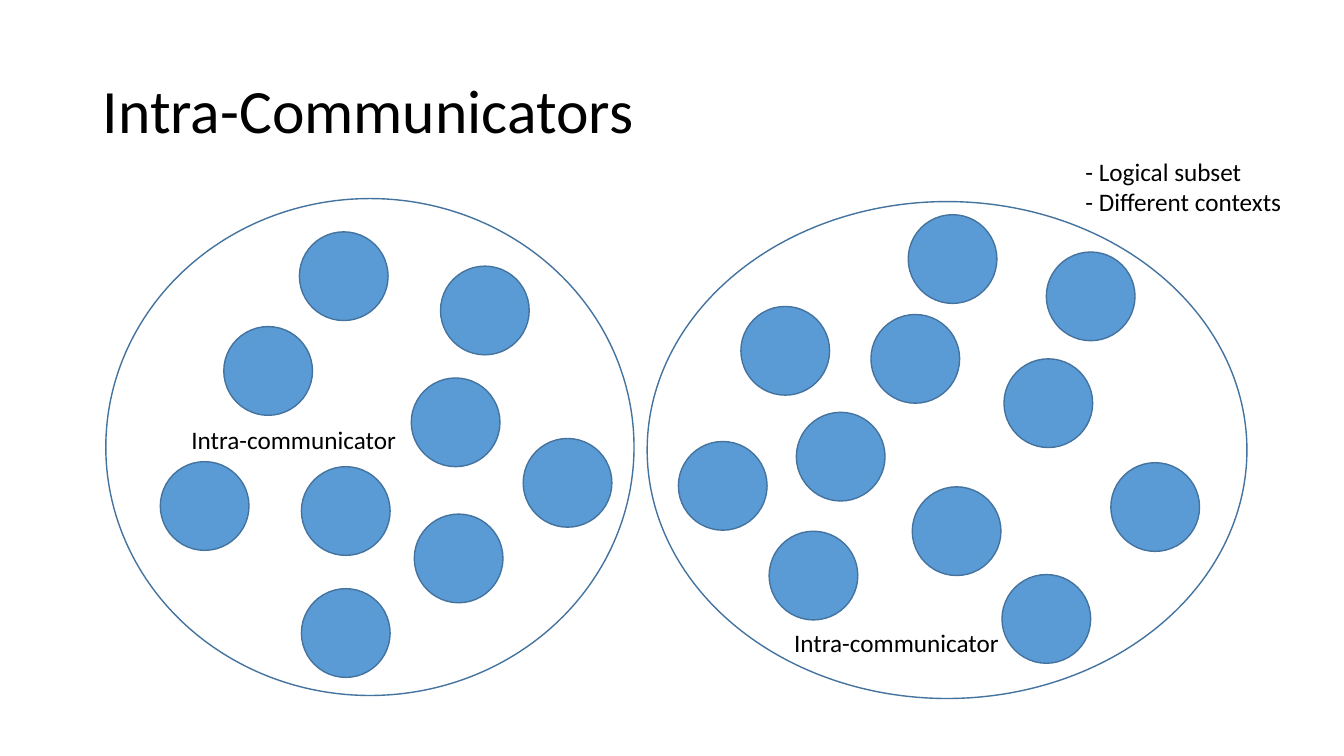
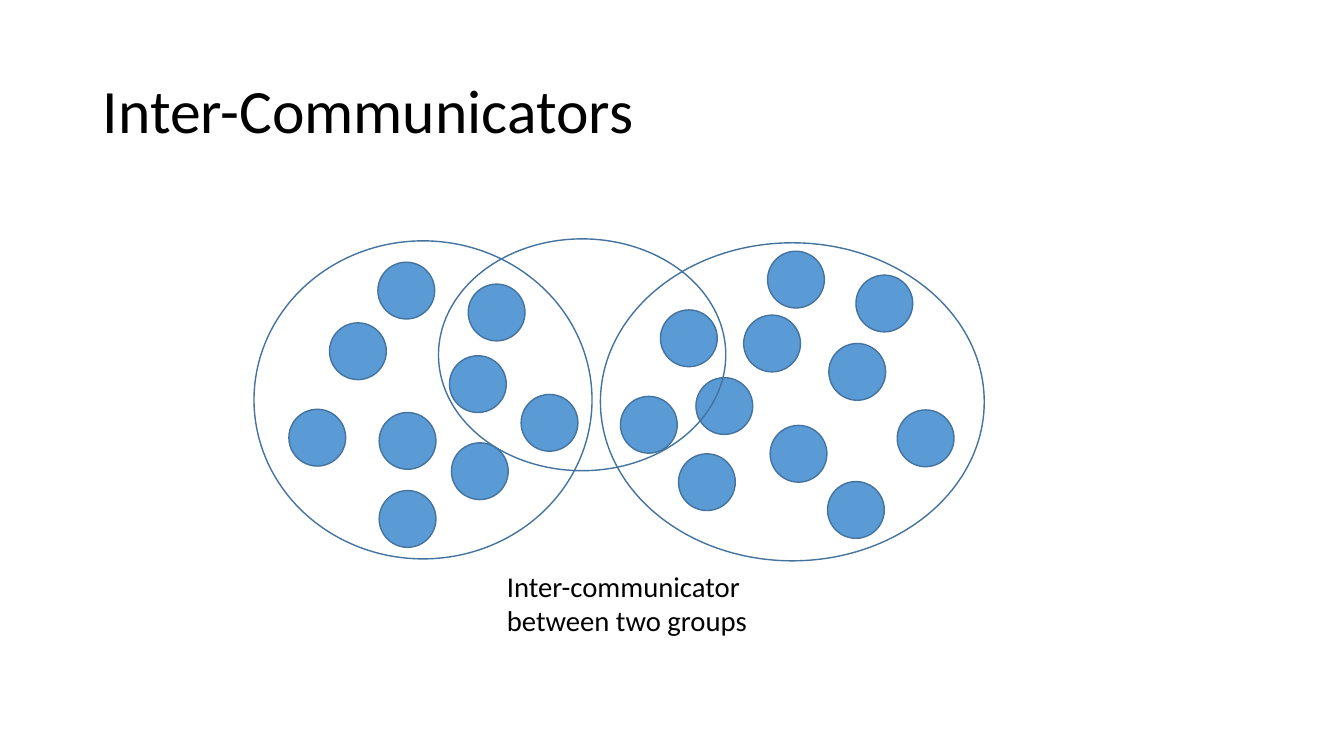
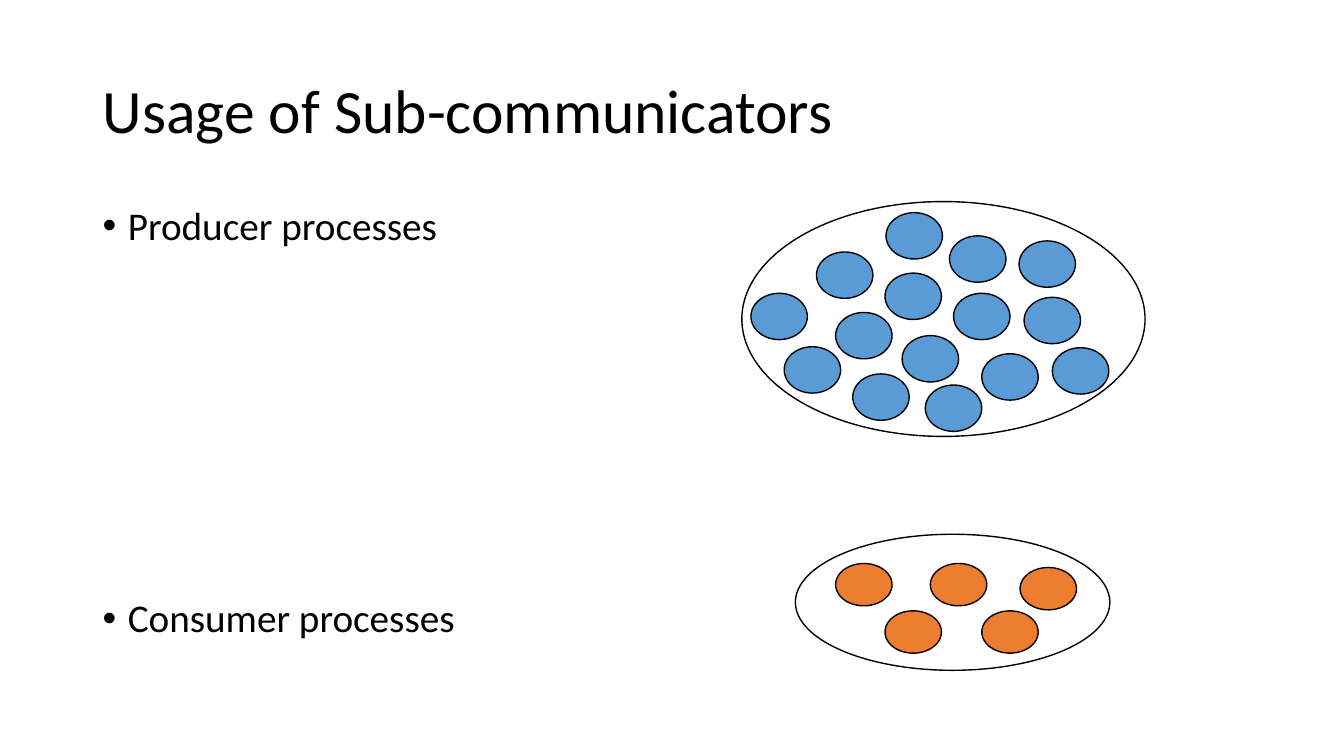
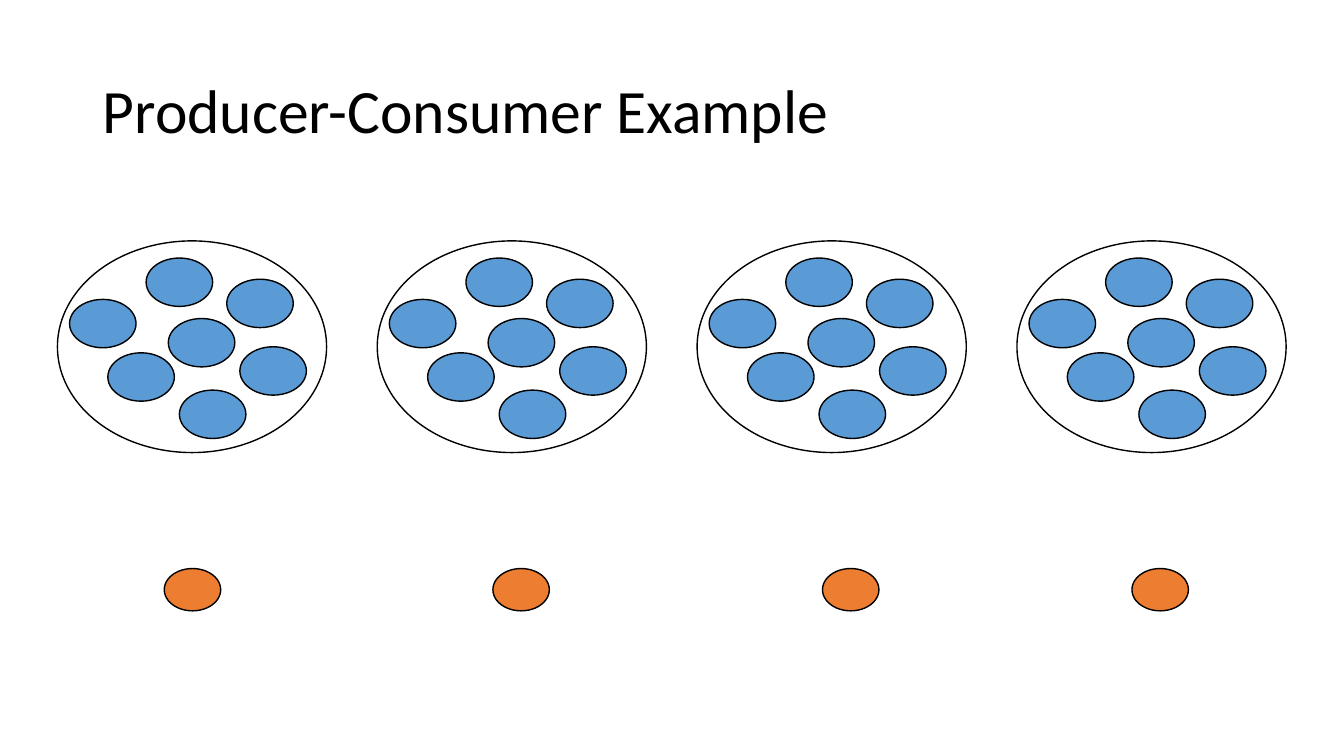
from dataclasses import dataclass
from typing import Any, Optional

from lxml import etree
from pptx import Presentation
from pptx import util as u
from pptx.dml.color import RGBColor
from pptx.enum import shapes, text
from pptx.oxml import ns

CELL = u.Inches(0.1)
COLUMNS, ROWS = 133.33, 75
FONT = "Calibri"
BLACK, WHITE = "000000", "FFFFFF"
BLUE, NAVY, ORANGE = "5B9BD5", "43739E", "ED7D31"


@dataclass(frozen=True)
class Area:
    left: float
    top: float
    width: float
    height: float


@dataclass(frozen=True)
class Placement:
    left: float = 0
    top: float = 0
    scale: float = 1


@dataclass(frozen=True)
class Cluster:
    outline: Area
    dot_width: float
    dot_height: float
    dots: tuple[tuple[float, float], ...]
    dot_fill: str = BLUE
    line: str = BLACK


@dataclass(frozen=True)
class Label:
    area: Area
    lines: tuple[str, ...]
    size: float = 18
    wrap: bool = False


HOME = Placement()
TITLE_AREA = Area(9.2, 4, 115, 14.5)

LEFT_GROUP = Cluster(
    Area(10.5, 19.7, 52.4, 49.3), 8.8, 8.8,
    ((22.2, 32.4), (40.8, 37.5), (29.9, 46.3), (29.7, 23), (51.9, 43.5),
     (43.7, 26.4), (41.1, 51), (29.9, 58.4), (15.9, 45.8)),
    line=NAVY,
)
RIGHT_GROUP = Cluster(
    Area(64.2, 20, 59.5, 49.3), 8.8, 8.8,
    ((76.3, 52.7), (73.5, 30.4), (79, 40.9), (90.5, 48.3), (86.4, 31.2),
     (90.1, 21.3), (103.8, 25), (99.6, 35.6), (110.2, 45.9), (99.4, 57),
     (67.3, 43.8)),
    line=NAVY,
)
PRODUCERS = Cluster(
    Area(73.6, 20, 40, 23.3), 5.6, 4.6,
    ((74.5, 29.1), (81, 25), (82.9, 31), (89.5, 33.3), (87.8, 27.1),
     (87.9, 21.1), (94.2, 23.4), (94.6, 29.1), (101.6, 29.5), (101.1, 23.9),
     (77.8, 34.4), (97.4, 35.1), (84.6, 37.1), (91.8, 38.2), (104.4, 34.5)),
)
CONSUMERS = Cluster(
    Area(78.9, 53, 31.2, 13.5), 5.6, 4.2,
    ((82.9, 55.9), (92.3, 55.9), (101.2, 56.3), (87.8, 60.6), (97.4, 60.6)),
    dot_fill=ORANGE,
)
WORKERS = Cluster(
    Area(5.7, 23.9, 26.7, 21), 6.6, 4.8,
    ((6.9, 29.7), (14.5, 25.6), (16.7, 31.6), (22.5, 27.7), (10.7, 35),
     (17.8, 38.7), (23.8, 34.4)),
)
WORKER_PITCH = 31.73
SINGLE_CONSUMERS = (16.3, 48.9, 81.6, 112.3)


def colour(value: str) -> RGBColor:
    return RGBColor.from_string(value)


def apply(target: Any, formats: dict[str, Any]) -> None:
    for name, value in formats.items():
        setattr(target, name, value)


def bounds(area: Area, place: Placement = HOME) -> tuple[int, int, int, int]:
    cells = (
        place.left + area.left * place.scale,
        place.top + area.top * place.scale,
        area.width * place.scale,
        area.height * place.scale,
    )
    left, top, width, height = (round(cell * CELL) for cell in cells)
    return left, top, width, height


def add_span(para: Any, words: str, size: float) -> None:
    span = para.add_run()
    span.text = words
    apply(span.font, {"name": FONT, "size": u.Pt(size)})
    span.font.color.rgb = colour(BLACK)


def add_page(deck: Any, title: str) -> Any:
    page = deck.slides.add_slide(deck.slide_layouts[5])
    box = page.shapes.title
    apply(box, dict(zip(("left", "top", "width", "height"), bounds(TITLE_AREA))))
    apply(box.text_frame, {
        "auto_size": text.MSO_AUTO_SIZE.NONE,
        "vertical_anchor": text.MSO_ANCHOR.MIDDLE,
    })
    para = box.text_frame.paragraphs[0]
    apply(para, {"alignment": text.PP_ALIGN.LEFT, "line_spacing": 0.9})
    add_span(para, title, 44)
    return page


def add_oval(holder: Any, area: Area, fill: Optional[str], line: str,
             place: Placement = HOME) -> None:
    oval = holder.add_shape(shapes.MSO_SHAPE.OVAL, *bounds(area, place))
    oval.shadow.inherit = False
    if fill:
        oval.fill.solid()
        oval.fill.fore_color.rgb = colour(fill)
    else:
        oval.fill.background()
    oval.line.color.rgb = colour(line)
    oval.line.width = u.Pt(1)


def add_cluster(page: Any, cluster: Cluster, place: Placement = HOME) -> None:
    holder = page.shapes.add_group_shape().shapes
    add_oval(holder, cluster.outline, WHITE, cluster.line, place)
    for left, top in cluster.dots:
        dot = Area(left, top, cluster.dot_width, cluster.dot_height)
        add_oval(holder, dot, cluster.dot_fill, cluster.line, place)


def add_paragraphs(frame: Any, lines: tuple[str, ...], size: float) -> list[Any]:
    for _ in lines[1:]:
        frame.add_paragraph()
    for para, words in zip(frame.paragraphs, lines):
        add_span(para, words, size)
    return list(frame.paragraphs)


def add_label(page: Any, label: Label) -> None:
    frame = page.shapes.add_textbox(*bounds(label.area)).text_frame
    apply(frame, {
        "word_wrap": label.wrap,
        "auto_size": text.MSO_AUTO_SIZE.SHAPE_TO_FIT_TEXT,
    })
    add_paragraphs(frame, label.lines, label.size)


def add_bullets(page: Any, area: Area, lines: tuple[str, ...], gap: float) -> None:
    frame = page.shapes.add_textbox(*bounds(area)).text_frame
    frame.word_wrap = True
    for index, para in enumerate(add_paragraphs(frame, lines, 28)):
        properties = para._p.get_or_add_pPr()
        properties.set("marL", str(u.Inches(0.25)))
        properties.set("indent", str(-u.Inches(0.25)))
        face = etree.SubElement(properties, ns.qn("a:buFont"))
        face.set("typeface", "Arial")
        etree.SubElement(properties, ns.qn("a:buChar")).set("char", "•")
        para.line_spacing = 0.9
        if index:
            para.space_before = u.Pt(gap)


def build_intra(deck: Any) -> None:
    page = add_page(deck, "Intra-Communicators")
    for cluster in (RIGHT_GROUP, LEFT_GROUP):
        add_cluster(page, cluster)
    add_label(page, Label(Area(106.7, 15, 24.6, 7.1),
                          ("- Logical subset", "- Different contexts"), wrap=True))
    for left, top in ((18, 41.6), (77.8, 61.7)):
        add_label(page, Label(Area(left, top, 22.5, 4), ("Intra-communicator",)))


def build_inter(deck: Any) -> None:
    page = add_page(deck, "Inter-Communicators")
    for cluster in (RIGHT_GROUP, LEFT_GROUP):
        add_cluster(page, cluster, Placement(18.48, 11.29, 0.64))
    add_label(page, Label(Area(49.3, 55.9, 26.7, 7.9),
                          ("Inter-communicator", "between two groups"), 20.5))
    add_oval(page.shapes, Area(43.5, 23.7, 28.5, 23), None, NAVY)


def build_usage(deck: Any) -> None:
    page = add_page(deck, "Usage of Sub-communicators")
    add_bullets(page, Area(9.2, 20, 42.7, 47.6),
                ("Producer processes", "Consumer processes"), 250)
    for cluster in (PRODUCERS, CONSUMERS):
        add_cluster(page, cluster)


def build_example(deck: Any) -> None:
    page = add_page(deck, "Producer-Consumer Example")
    for index, left in enumerate(SINGLE_CONSUMERS):
        add_cluster(page, WORKERS, Placement(left=index * WORKER_PITCH))
        add_oval(page.shapes, Area(left, 56.4, 5.6, 4.2), ORANGE, BLACK)


def main() -> None:
    deck = Presentation()
    apply(deck, {
        "slide_width": round(COLUMNS * CELL),
        "slide_height": ROWS * CELL,
    })
    for build in (build_intra, build_inter, build_usage, build_example):
        build(deck)
    deck.save("out.pptx")


if __name__ == "__main__":
    main()
